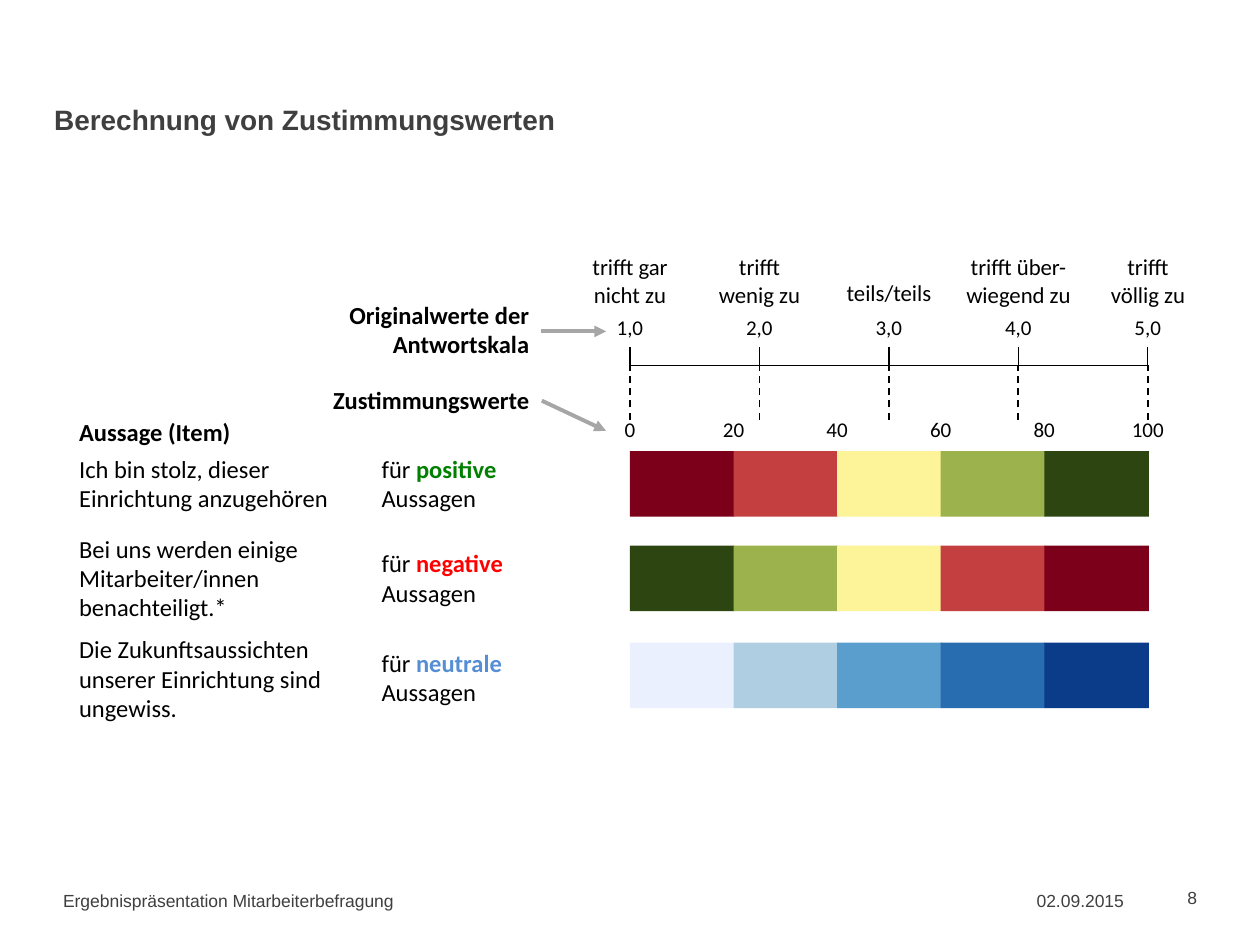
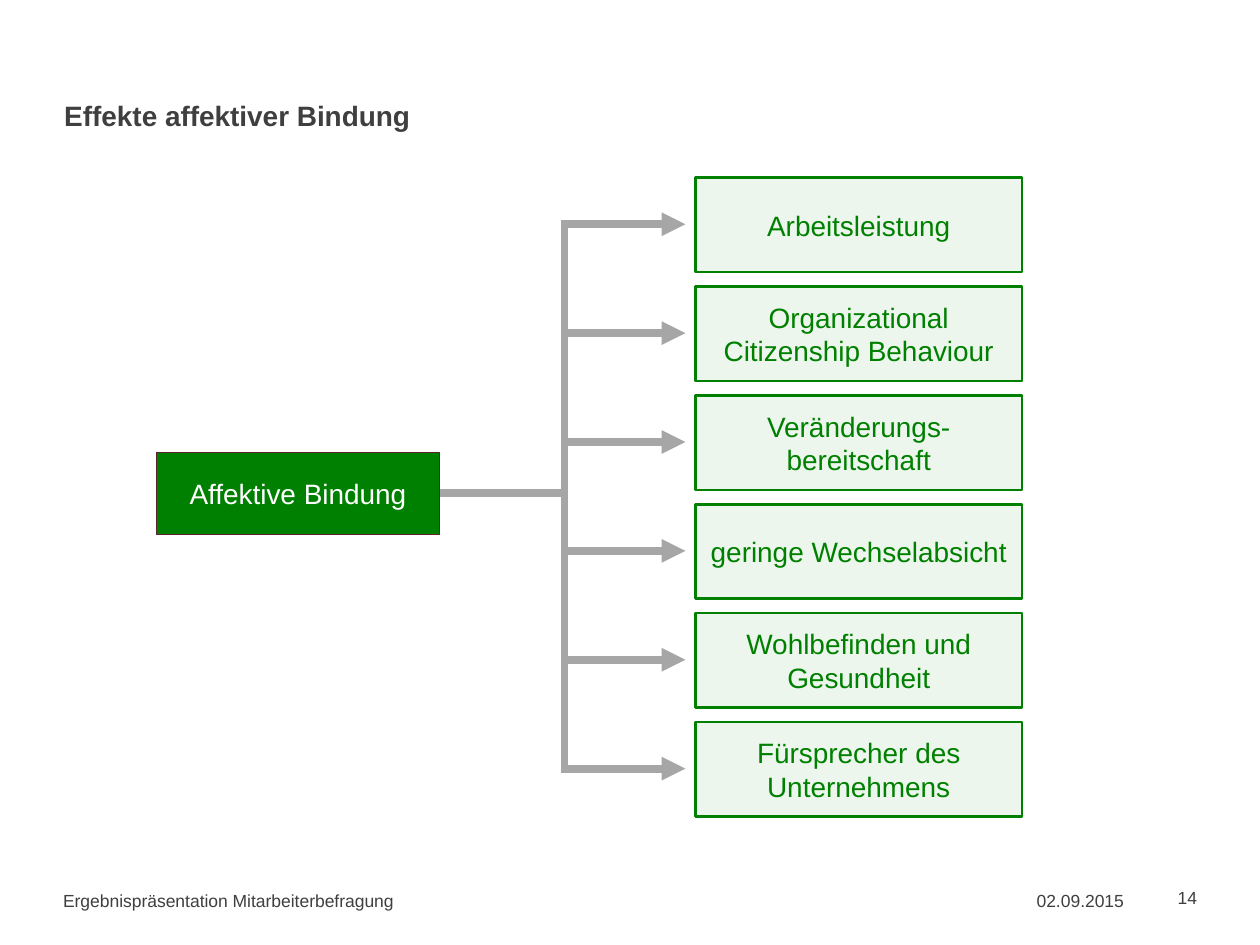
import pptx
import pptx.util
import pptx.dml.color
import pptx.enum.dml
import pptx.enum.shapes
import pptx.enum.text
import pptx.oxml
import pptx.oxml.ns
import lxml.etree

Inches = pptx.util.Inches
Pt = pptx.util.Pt
hue = pptx.dml.color.RGBColor.from_string
qn = pptx.oxml.ns.qn
RECT = pptx.enum.shapes.MSO_SHAPE.RECTANGLE
DASH = pptx.enum.dml.MSO_LINE.DASH
TOP = pptx.enum.text.MSO_ANCHOR.TOP
MID = pptx.enum.text.MSO_ANCHOR.MIDDLE
LEFT = pptx.enum.text.PP_ALIGN.LEFT
RIGHT = pptx.enum.text.PP_ALIGN.RIGHT
CENTER = pptx.enum.text.PP_ALIGN.CENTER

INK = "3F3F3F"
BLACK = "000000"
GRAY = "A6A6A6"
GREEN = "008000"


def write(text, hold=None, box=None, font="Calibri", size=14, color=BLACK, bold=False,
          tint=None, align=LEFT, anchor=TOP, wrap=True, pad=(0.1, 0.05, 0.1, 0.05)):
    hold = hold or slide.shapes.add_textbox(*map(Inches, box))
    frame = hold.text_frame
    frame.word_wrap = wrap
    frame.auto_size = pptx.enum.text.MSO_AUTO_SIZE.NONE
    frame.vertical_anchor = anchor
    frame.margin_left, frame.margin_top, frame.margin_right, frame.margin_bottom = map(Inches, pad)
    for n, line in enumerate(text.split("\n")):
        para = frame.add_paragraph() if n else frame.paragraphs[0]
        para.alignment = align
        for k, part in enumerate(line.split("|")):
            run = para.add_run()
            run.text = part
            run.font.name = font
            run.font.size = Pt(size)
            run.font.bold = bold or k == 1
            run.font.color.rgb = hue(tint if k == 1 else color)


def link(x1, y1, x2, y2, color=BLACK, width=0.75, dash=None, arrow=False):
    line = slide.shapes.add_connector(pptx.enum.shapes.MSO_CONNECTOR.STRAIGHT,
                                      *map(Inches, (x1, y1, x2, y2)))
    line.line.color.rgb = hue(color)
    line.line.width = Pt(width)
    if dash:
        line.line.dash_style = dash
    if arrow:
        lxml.etree.SubElement(line.line._get_or_add_ln(), qn("a:tailEnd"), type="triangle")
    lxml.etree.SubElement(line._element.spPr, qn("a:effectLst"))
    return line


deck = pptx.Presentation()
deck.slide_width = Inches(10)
deck.slide_height = Inches(7.5)

heads = [
    ("Berechnung von Zustimmungswerten", 0.33, 0.76, "8"),
    ("Effekte affektiver Bindung", 0.41, 0.73, "14"),
]
for head, left, top, page in heads:
    slide = deck.slides.add_slide(deck.slide_layouts[5])
    title = slide.shapes.title
    title.left, title.top, title.width, title.height = map(Inches, (left, top, 9, 0.66))
    write(head, hold=title, font="Arial", size=16, color=INK, bold=True)
    feet = [
        ("Ergebnispräsentation Mitarbeiterbefragung", 0.5, 6.92, LEFT, 0),
        ("02.09.2015", 7.42, 1.5, RIGHT, 0),
        (page, 8.92, 0.58, RIGHT, 0.05),
    ]
    for text, x, wide, align, low in feet:
        write(text, box=(x, 6.95, wide, 0.4), font="Arial", size=10, color=INK,
              align=align, anchor=MID, pad=(0, 0, 0, low))

slide = deck.slides[0]
start, span = 5, 4.11
cell = span / 5
bars = [
    (3.58, ["7D001A", "C43F3F", "FDF399", "9CB24C", "2D4611"]),
    (4.33, ["2D4611", "9CB24C", "FDF399", "C43F3F", "7D001A"]),
    (5.1, ["EBF0FF", "B0CEE1", "5A9ECD", "276DAF", "0B3C8A"]),
]
for y, fills in bars:
    for n, fill in enumerate(fills):
        tile = slide.shapes.add_shape(RECT, *map(Inches, (start + n * cell, y, 0.83, 0.52)))
        tile.shadow.inherit = False
        tile.fill.solid()
        tile.fill.fore_color.rgb = hue(fill)
        tile.line.fill.background()

for n in range(6):
    write(str(n * 20), box=(start + n * cell - 0.23, 3.26, 0.46, 0.3), size=12,
          align=CENTER, wrap=False)

link(start, 2.9, start + span, 2.9)
marks = ["trifft gar\nnicht zu", "trifft\nwenig zu", "teils/teils",
         "trifft über-\nwiegend zu", "trifft\nvöllig zu"]
for n, mark in enumerate(marks):
    x = start + n * span / 4
    link(x, 2.91, x, 2.75)
    link(x, 3.33, x, 2.9, width=1, dash=DASH)
    write(f"{n + 1},0", box=(x - 0.2, 2.45, 0.4, 0.3), size=12, align=CENTER, wrap=False)
    y, high = (1.96, 0.54) if "\n" in mark else (2.16, 0.32)
    write(mark, box=(x - 0.52, y, 1.04, high), size=13, align=CENTER, wrap=False)

write("Originalwerte der Antwortskala", box=(2.47, 2.33, 1.83, 0.57), bold=True, align=RIGHT)
write("Zustimmungswerte", box=(2.47, 3.01, 1.83, 0.34), bold=True, align=RIGHT)
write("Aussage (Item)", box=(0.53, 3.26, 1.83, 0.33), bold=True)
link(4.29, 2.63, 4.81, 2.63, color=GRAY, width=2.25, arrow=True)
link(4.3, 3.18, 4.81, 3.42, color=GRAY, width=2.25, arrow=True)

items = [
    ("Ich bin stolz, dieser Einrichtung anzugehören", 3.55, 2.2, 0.57, "positive", 3.55, GREEN),
    ("Bei uns werden einige Mitarbeiter/innen benachteiligt.*", 4.18, 2.66, 0.81,
     "negative", 4.3, "FF0000"),
    ("Die Zukunftsaussichten unserer Einrichtung sind ungewiss.", 4.98, 2.2, 0.81,
     "neutrale", 5.09, "558ED5"),
]
for text, y, wide, high, kind, side, tint in items:
    write(text, box=(0.53, y, wide, high), anchor=MID)
    write(f"für |{kind}| Aussagen", box=(2.93, side, 1.78, 0.57), tint=tint, anchor=MID)

slide = deck.slides[1]
cause = slide.shapes.add_shape(RECT, *map(Inches, (1.24, 3.59, 2.25, 0.65)))
cause.shadow.inherit = False
cause.fill.solid()
cause.fill.fore_color.rgb = hue(GREEN)
cause.line.color.rgb = hue("5B242E")
cause.line.width = Pt(0.75)
write("Affektive Bindung", hold=cause, font="Arial", size=16, color="FFFFFF",
      align=CENTER, anchor=MID)

link(4.48, 1.76, 4.48, 6.13, color=GRAY, width=4.5)
stem = link(3.49, 3.91, 4.48, 3.91, color=GRAY, width=4.5)
stem.begin_connect(cause, 3)
stem.end_y = stem.begin_y

effects = ["Arbeitsleistung", "Organizational Citizenship Behaviour",
           "Veränderungs-bereitschaft", "geringe Wechselabsicht",
           "Wohlbefinden und Gesundheit", "Fürsprecher des Unternehmens"]
for n, text in enumerate(effects):
    y = 1.41 + n * 0.864
    card = slide.shapes.add_shape(RECT, *map(Inches, (5.52, y, 2.59, 0.75)))
    card.shadow.inherit = False
    card.fill.solid()
    card.fill.fore_color.rgb = hue(GREEN)
    shade = card._element.spPr.find(qn("a:solidFill"))[0]
    lxml.etree.SubElement(shade, qn("a:alpha"), val="7000")
    card.line.color.rgb = hue(GREEN)
    card.line.width = Pt(1.5)
    write(text, hold=card, font="Arial", size=16, color=GREEN, align=CENTER, anchor=MID)
    link(4.45, y + 0.37, 5.44, y + 0.37, color=GRAY, width=4.5, arrow=True)

deck.save("out.pptx")
